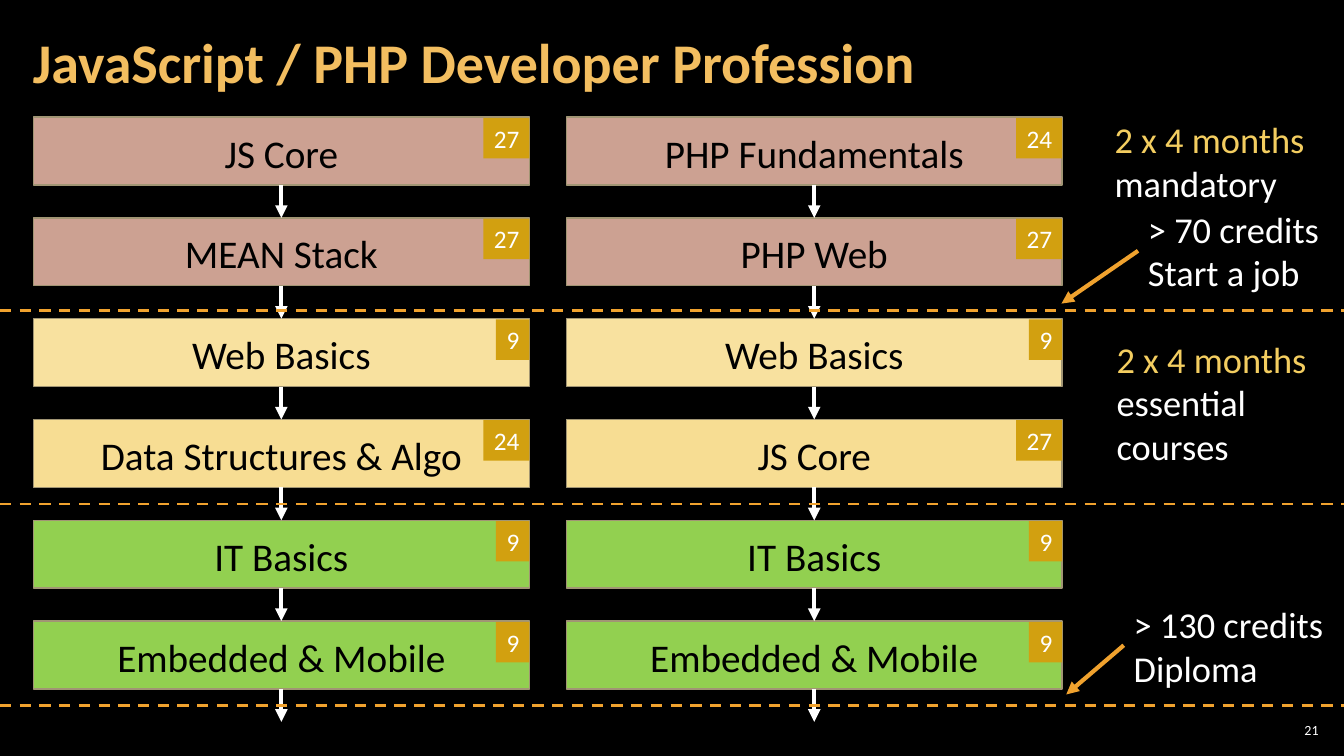
from lxml.etree import SubElement
from pptx import Presentation
from pptx.dml.color import RGBColor
from pptx.enum.dml import MSO_LINE
from pptx.enum.shapes import MSO_CONNECTOR, MSO_SHAPE
from pptx.enum.text import MSO_ANCHOR, MSO_AUTO_SIZE, PP_ALIGN
from pptx.oxml.ns import qn
from pptx.util import Cm, Pt

SLIDE_WIDTH, SLIDE_HEIGHT = 33.87, 19.05
FIRST_TOP, ROW_STEP = 2.95, 2.54
COURSE_WIDTH, COURSE_HEIGHT = 12.5, 1.71
ARROW_LENGTH = ROW_STEP - COURSE_HEIGHT
WHITE, BLACK, ORANGE, YELLOW = "FFFFFF", "000000", "F0A22E", "F3CD60"
ROW_FILLS = ["CCA192", "CCA192", "F8E19F", "F7DD93", "92D050", "92D050"]
TRACKS = [
    (0.84, [("JS Core", 27), ("MEAN Stack", 27), ("Web Basics", 9),
            ("Data Structures & Algo", 24), ("IT Basics", 9), ("Embedded & Mobile", 9)]),
    (14.27, [("PHP Fundamentals", 24), ("PHP Web", 27), ("Web Basics", 9),
             ("JS Core", 27), ("IT Basics", 9), ("Embedded & Mobile", 9)]),
]
MILESTONES = [7.82, 12.7, 17.78]
NOTES = [
    (27.84, 2.82, 5.82, 2.49, True, [("2 x 4 months", YELLOW), ("mandatory", WHITE)]),
    (28.68, 5.08, 4.88, 2.49, False, [("> 70 credits", WHITE), ("Start a job", WHITE)]),
    (27.89, 8.36, 5.41, 3.58, True,
     [("2 x 4 months", YELLOW), ("essential", WHITE), ("courses", WHITE)]),
    (28.32, 15.04, 5.33, 2.49, False, [("> 130 credits", WHITE), ("Diploma", WHITE)]),
]
POINTERS = [((28.68, 6.32), (26.75, 7.65)), ((28.32, 16.26), (26.87, 17.5))]


def color(value):
    """Turn a hex string into a colour."""
    return RGBColor.from_string(value)


class SlideBuilder:
    """Hold the font and the current slide, and draw its elements."""

    def __init__(self, slide, font="Calibri"):
        """Keep the slide and font, and paint the background."""
        self.slide = slide
        self.font = font
        slide.background.fill.solid()
        slide.background.fill.fore_color.rgb = color(BLACK)

    def set_lines(self, shape, lines, size, align=PP_ALIGN.LEFT, anchor=MSO_ANCHOR.TOP,
                  insets=(0.25, 0.13, 0.25, 0.13), wrap=True, bold=False):
        """Set one paragraph for each (text, colour) line."""
        frame = shape.text_frame
        frame.word_wrap = wrap
        frame.auto_size = MSO_AUTO_SIZE.NONE
        frame.vertical_anchor = anchor
        frame.margin_left, frame.margin_top, frame.margin_right, frame.margin_bottom = map(Cm, insets)
        for index, (text, ink) in enumerate(lines):
            paragraph = frame.add_paragraph() if index else frame.paragraphs[0]
            paragraph.alignment = align
            run = paragraph.add_run()
            run.text = text
            run.font.name = self.font
            run.font.size = Pt(size)
            run.font.bold = bold
            run.font.color.rgb = color(ink)

    def title(self, text):
        """Place and fill the title placeholder."""
        shape = self.slide.shapes.title
        shape.left, shape.top, shape.width, shape.height = Cm(0.53), Cm(0.1), Cm(26.6), Cm(3.07)
        self.set_lines(shape, [(text, "F3BE60")], 40, anchor=MSO_ANCHOR.MIDDLE,
                       insets=(0.3, 0.1, 0.3, 0.1), bold=True)
        shape.text_frame.paragraphs[0].line_spacing = 0.9

    def text(self, left, top, width, height, lines, size, **style):
        """Add a text box."""
        shape = self.slide.shapes.add_textbox(Cm(left), Cm(top), Cm(width), Cm(height))
        self.set_lines(shape, lines, size, **style)

    def rectangle(self, left, top, width, height, fill, outline=None):
        """Add a filled rectangle."""
        shape = self.slide.shapes.add_shape(
            MSO_SHAPE.RECTANGLE, Cm(left), Cm(top), Cm(width), Cm(height))
        shape.shadow.inherit = False
        shape.fill.solid()
        shape.fill.fore_color.rgb = color(fill)
        if outline:
            shape.line.color.rgb = color(outline)
            shape.line.width = Pt(1)
        else:
            shape.line.fill.background()
        return shape

    def course(self, left, top, name, credits, fill):
        """Add a course box with its credits badge in the top right corner."""
        shape = self.rectangle(left, top, COURSE_WIDTH, COURSE_HEIGHT, fill, "A19574")
        self.set_lines(shape, [(name, BLACK)], 28, PP_ALIGN.CENTER, insets=(0.25, 0.3, 0.25, 0.13))
        width = 0.84 if credits < 10 else 1.16
        badge = self.rectangle(left + COURSE_WIDTH - width, top + 0.02, width, 1.02, "D2A010")
        self.set_lines(badge, [(str(credits), WHITE)], 18, PP_ALIGN.RIGHT, wrap=False)
        return shape

    def line(self, start, end, ink, width, dashed=False, arrow=False):
        """Add a straight line, dashed or with an arrowhead if asked."""
        connector = self.slide.shapes.add_connector(
            MSO_CONNECTOR.STRAIGHT, *map(Cm, (*start, *end)))
        connector.line.color.rgb = color(ink)
        connector.line.width = Pt(width)
        properties = connector.element.spPr
        if dashed:
            connector.line.dash_style = MSO_LINE.DASH
        if arrow:
            SubElement(properties.find(qn("a:ln")), qn("a:tailEnd"), type="triangle")
        SubElement(properties, qn("a:effectLst"))
        return connector

    def track(self, left, courses):
        """Add a column of courses joined by arrows."""
        center = left + COURSE_WIDTH / 2
        tops = [FIRST_TOP + row * ROW_STEP for row in range(len(courses))]
        boxes = [self.course(left, top, name, credits, fill)
                 for top, (name, credits), fill in zip(tops, courses, ROW_FILLS)]
        for row, (top, box) in enumerate(zip(tops, boxes)):
            bottom = top + COURSE_HEIGHT
            arrow = self.line((center, bottom), (center, bottom + ARROW_LENGTH), WHITE, 3, arrow=True)
            arrow.begin_connect(box, 2)
            if row + 1 < len(boxes):
                arrow.end_connect(boxes[row + 1], 0)


def main():
    """Build the slide and save it."""
    presentation = Presentation()
    presentation.slide_width, presentation.slide_height = Cm(SLIDE_WIDTH), Cm(SLIDE_HEIGHT)
    builder = SlideBuilder(presentation.slides.add_slide(presentation.slide_layouts[5]))
    builder.title("JavaScript / PHP Developer Profession")
    for left, courses in TRACKS:
        builder.track(left, courses)
    for top in MILESTONES:
        builder.line((0, top), (SLIDE_WIDTH, top), ORANGE, 2, dashed=True)
    for left, top, width, height, wrap, lines in NOTES:
        builder.text(left, top, width, height, lines, 26, wrap=wrap)
    for start, end in POINTERS:
        builder.line(start, end, ORANGE, 3, arrow=True)
    builder.text(32.13, 18.14, 1.2, 0.53, [("21", WHITE)], 10, align=PP_ALIGN.RIGHT,
                 anchor=MSO_ANCHOR.MIDDLE, insets=(0.1, 0.1, 0.1, 0.1))
    presentation.save("out.pptx")


if __name__ == "__main__":
    main()
